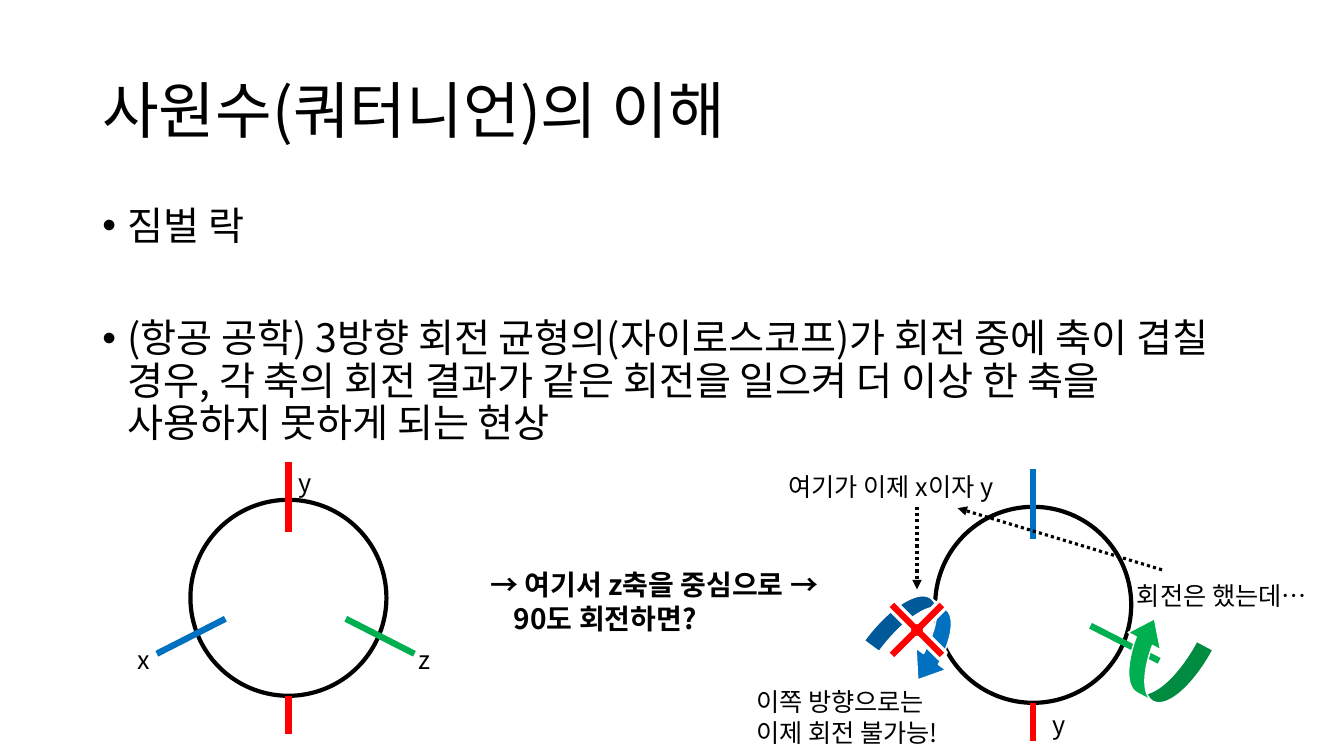
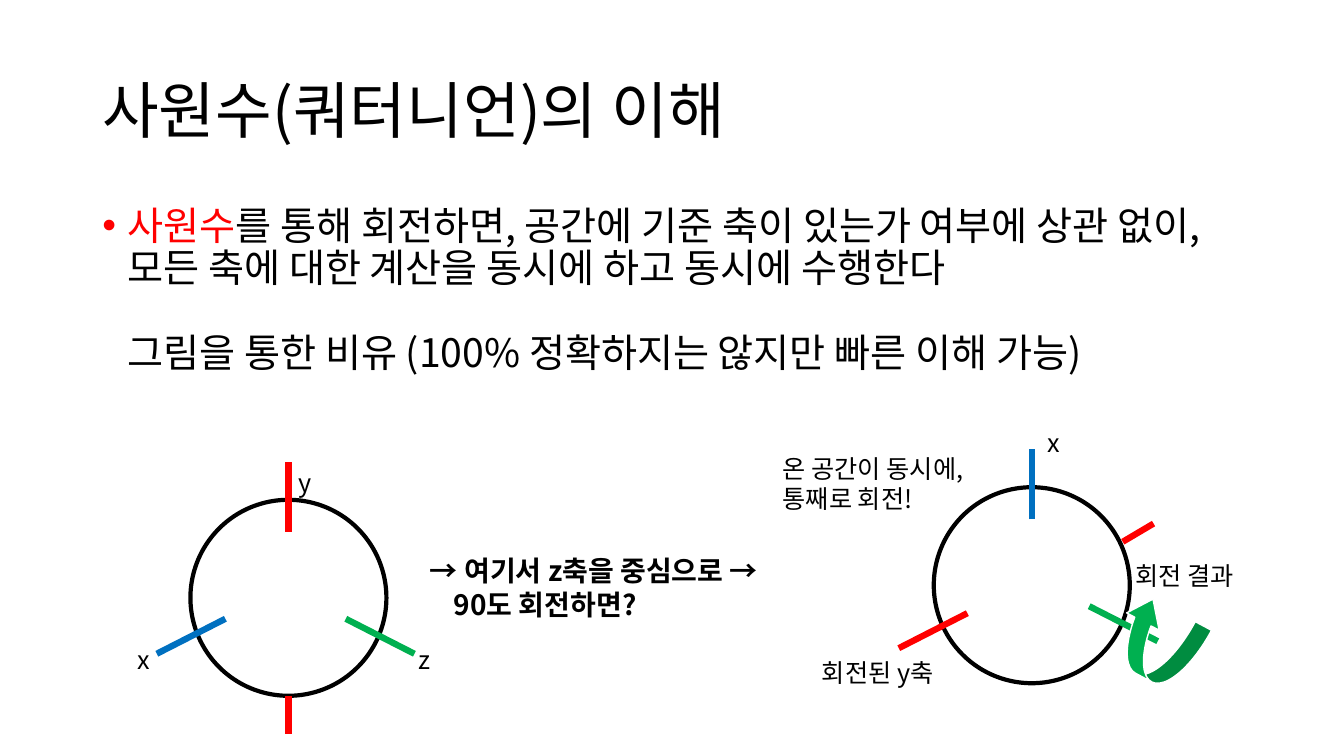
from lxml import etree
from pptx import Presentation
from pptx.dml.color import RGBColor
from pptx.enum.dml import MSO_LINE
from pptx.enum.shapes import MSO_CONNECTOR, MSO_SHAPE
from pptx.enum.text import MSO_ANCHOR, MSO_AUTO_SIZE
from pptx.oxml.ns import qn
from pptx.util import Pt

STRAIGHT = MSO_CONNECTOR.STRAIGHT
OVAL = MSO_SHAPE.OVAL
CURVED_ARROW = MSO_SHAPE.CURVED_RIGHT_ARROW
CROSS = MSO_SHAPE.MATH_MULTIPLY
DOTTED = MSO_LINE.ROUND_DOT
TOP, MIDDLE = MSO_ANCHOR.TOP, MSO_ANCHOR.MIDDLE
GROW = MSO_AUTO_SIZE.SHAPE_TO_FIT_TEXT

COLORS = {"black": "000000", "white": "FFFFFF", "red": "FF0000",
          "green": "00B050", "blue": "0070C0"}
FONT = "Noto Sans CJK KR"
TITLE = "사원수(쿼터니언)의 이해"
QUESTION = ("→ 여기서 z축을 중심으로 →", "90도 회전하면?")
TITLE_BOX = (66, 29, 828, 104)
BODY_BOX = (66, 144, 828, 343)
START_BOX = (136, 357, 140, 140)
INDENT = 18

TICKS = {
    "top": ((0, -47), (0, -97)),
    "bottom": ((0, 70), (0, 97)),
    "right": ((41, 15), (90, 40)),
    "left": ((-45, 15), (-94, 40)),
    "turned left": ((-46, 20), (-95, 45)),
    "turned right": ((87, -44), (65, -31)),
}


def color(name):
    """Return the named palette colour."""
    return RGBColor.from_string(COLORS[name])


def center_of(box):
    """Return the middle point of a box."""
    left, top, width, height = box
    return left + width / 2, top + height / 2


def style_paragraph(paragraph, size, bold=False):
    """Set the shared font on a paragraph for Latin and Korean text."""
    font = paragraph.font
    font.size, font.bold, font.name = Pt(size), bold, FONT
    font.color.rgb = color("black")
    defaults = paragraph._p.pPr.find(qn("a:defRPr"))
    etree.SubElement(defaults, qn("a:ea"), typeface=FONT)


def add_text(slide, box, lines, size=18, bold=False, anchor=TOP, grow=True):
    """Add a wrapping text box with one paragraph per line."""
    shape = slide.shapes.add_textbox(*map(Pt, box))
    frame = shape.text_frame
    frame.word_wrap = True
    frame.vertical_anchor = anchor
    if grow:
        frame.auto_size = GROW
    for index, line in enumerate(lines):
        paragraph = frame.paragraphs[0] if index == 0 else frame.add_paragraph()
        paragraph.add_run().text = line
        style_paragraph(paragraph, size, bold)
    return frame


def add_title(slide, box):
    """Add the slide title."""
    frame = add_text(slide, box, [TITLE], 44, anchor=MIDDLE, grow=False)
    frame.paragraphs[0].line_spacing = 0.9


def add_body(slide, box, items):
    """Add body paragraphs given as (runs, space before, bullet colour)."""
    frame = slide.shapes.add_textbox(*map(Pt, box)).text_frame
    frame.word_wrap = True
    for index, (runs, space_before, bullet) in enumerate(items):
        paragraph = frame.paragraphs[0] if index == 0 else frame.add_paragraph()
        paragraph.line_spacing = 0.9
        paragraph.space_before = Pt(space_before)
        properties = paragraph._p.get_or_add_pPr()
        properties.set("marL", str(Pt(INDENT)))
        if bullet:
            properties.set("indent", str(Pt(-INDENT)))
            bullet_color = etree.SubElement(properties, qn("a:buClr"))
            etree.SubElement(bullet_color, qn("a:srgbClr"), val=COLORS[bullet])
            etree.SubElement(properties, qn("a:buFont"), typeface="Arial")
            etree.SubElement(properties, qn("a:buChar"), char="•")
        style_paragraph(paragraph, 28)
        for text, run_color in runs:
            run = paragraph.add_run()
            run.text = text
            if run_color != "black":
                run.font.color.rgb = color(run_color)


def add_question(slide, box):
    """Add the bold question between the two diagrams."""
    frame = add_text(slide, box, QUESTION, 20, bold=True)
    frame.paragraphs[1]._p.pPr.set("marL", str(Pt(17)))


def add_shape(slide, kind, box, fill, line, line_width):
    """Add a filled and outlined preset shape without a shadow."""
    shape = slide.shapes.add_shape(kind, *map(Pt, box))
    shape.shadow.inherit = False
    shape.fill.solid()
    shape.fill.fore_color.rgb = color(fill)
    shape.line.color.rgb = color(line)
    shape.line.width = Pt(line_width)
    return shape


def add_line(slide, center, ends, line_color, width=4.5):
    """Add a straight line whose ends are offsets from a center."""
    x, y = center
    (x1, y1), (x2, y2) = ends
    line = slide.shapes.add_connector(
        STRAIGHT, Pt(x + x1), Pt(y + y1), Pt(x + x2), Pt(y + y2))
    line.line.color.rgb = color(line_color)
    line.line.width = Pt(width)
    etree.SubElement(line._element.spPr, qn("a:effectLst"))
    return line


def add_dotted_arrow(slide, center, ends):
    """Add a dotted pointer with a triangular head."""
    arrow = add_line(slide, center, ends, "black", 2.25)
    arrow.line.dash_style = DOTTED
    outline = arrow._element.spPr.find(qn("a:ln"))
    etree.SubElement(outline, qn("a:tailEnd"), type="triangle")


def add_turn_arrow(slide, center, offset, fill, rotation):
    """Add a curved arrow that shows a direction of rotation."""
    box = (center[0] + offset[0], center[1] + offset[1], 52.6, 60.5)
    arrow = add_shape(slide, CURVED_ARROW, box, fill, "white", 1)
    for index, value in enumerate((0.25, 0.5, 0.334)):
        arrow.adjustments[index] = value
    arrow.rotation = rotation
    arrow._element.spPr.find(qn("a:xfrm")).set("flipV", "1")


def add_gimbal(slide, box, ticks, labels):
    """Draw a ring with coloured axis ticks and labels around its center."""
    add_shape(slide, OVAL, box, "white", "black", 3)
    x, y = center_of(box)
    for name, tick_color in ticks:
        add_line(slide, (x, y), TICKS[name], tick_color)
    for lines, left, top, width in labels:
        add_text(slide, (x + left, y + top, width, 7 + 22 * len(lines)), lines)


def add_start_gimbal(slide, box):
    """Draw the gimbal before it turns."""
    add_gimbal(
        slide, box,
        [("top", "red"), ("bottom", "red"), ("right", "green"), ("left", "blue")],
        [(["y"], 0, -97, 90), (["x"], -115, 30, 90), (["z"], 86, 30, 90)])


def add_locked_gimbal(slide, box):
    """Draw the turned gimbal with one blocked axis."""
    add_gimbal(
        slide, box,
        [("top", "blue"), ("bottom", "red"), ("right", "green")],
        [(["y"], 7, 71, 90),
         (["여기가 이제 x이자 y"], -182, -99, 198),
         (["회전은 했는데…"], 67, -21, 143),
         (["이쪽 방향으로는 이제 회전 불가능!"], -205, 55, 166)])
    center = center_of(box)
    add_turn_arrow(slide, center, (63, 11), "green", 298.1)
    add_dotted_arrow(slide, center, ((92, -25), (-54, -69)))
    add_turn_arrow(slide, center, (-107, -8), "blue", 126.2)
    cross_box = (center[0] - 119, center[1] - 18, 72, 72)
    cross = add_shape(slide, CROSS, cross_box, "red", "white", 2.25)
    cross.adjustments[0] = 0.097
    add_dotted_arrow(slide, center, ((-83, -70), (-83, -11)))


def add_turned_gimbal(slide, box):
    """Draw the gimbal after all axes have turned together."""
    add_gimbal(
        slide, box,
        [("top", "blue"), ("right", "green"),
         ("turned left", "red"), ("turned right", "red")],
        [(["회전 결과"], 67, -21, 94),
         (["x"], 4, -116, 30),
         (["회전된 y축"], -157, 48, 103),
         (["온 공간이 동시에,", "통째로 회전!"], -185, -98, 158)])
    add_turn_arrow(slide, center_of(box), (63, 11), "green", 298.1)


def add_slide(presentation, items, question_box):
    """Add a slide with the title, body, first gimbal and question."""
    slide = presentation.slides.add_slide(presentation.slide_layouts[6])
    add_title(slide, TITLE_BOX)
    add_body(slide, BODY_BOX, items)
    add_start_gimbal(slide, START_BOX)
    add_question(slide, question_box)
    return slide


def main():
    """Build and save the presentation."""
    presentation = Presentation()
    presentation.slide_width, presentation.slide_height = Pt(960), Pt(540)

    gimbal_lock = [
        ([("짐벌 락", "black")], 10, "black"),
        ([("(항공 공학) 3방향 회전 균형의(자이로스코프)가 회전 중에 축이 겹칠 경우, "
           "각 축의 회전 결과가 같은 회전을 일으켜 더 이상 한 축을 사용하지 못하게 되는 현상",
           "black")], 50, "black"),
    ]
    slide = add_slide(presentation, gimbal_lock, (343, 402, 288, 55))
    add_locked_gimbal(slide, (668, 362, 140, 140))

    quaternion = [
        ([("사원수", "red"),
          ("를 통해 회전하면, 공간에 기준 축이 있는가 여부에 상관 없이, "
           "모든 축에 대한 계산을 동시에 하고 동시에 수행한다", "black")], 10, "red"),
        ([("그림을 통한 비유 (100% 정확하지는 않지만 빠른 이해 가능)", "black")], 30, None),
    ]
    slide = add_slide(presentation, quaternion, (300, 392, 288, 55))
    add_turned_gimbal(slide, (667, 348, 140, 140))

    presentation.save("out.pptx")


if __name__ == "__main__":
    main()
